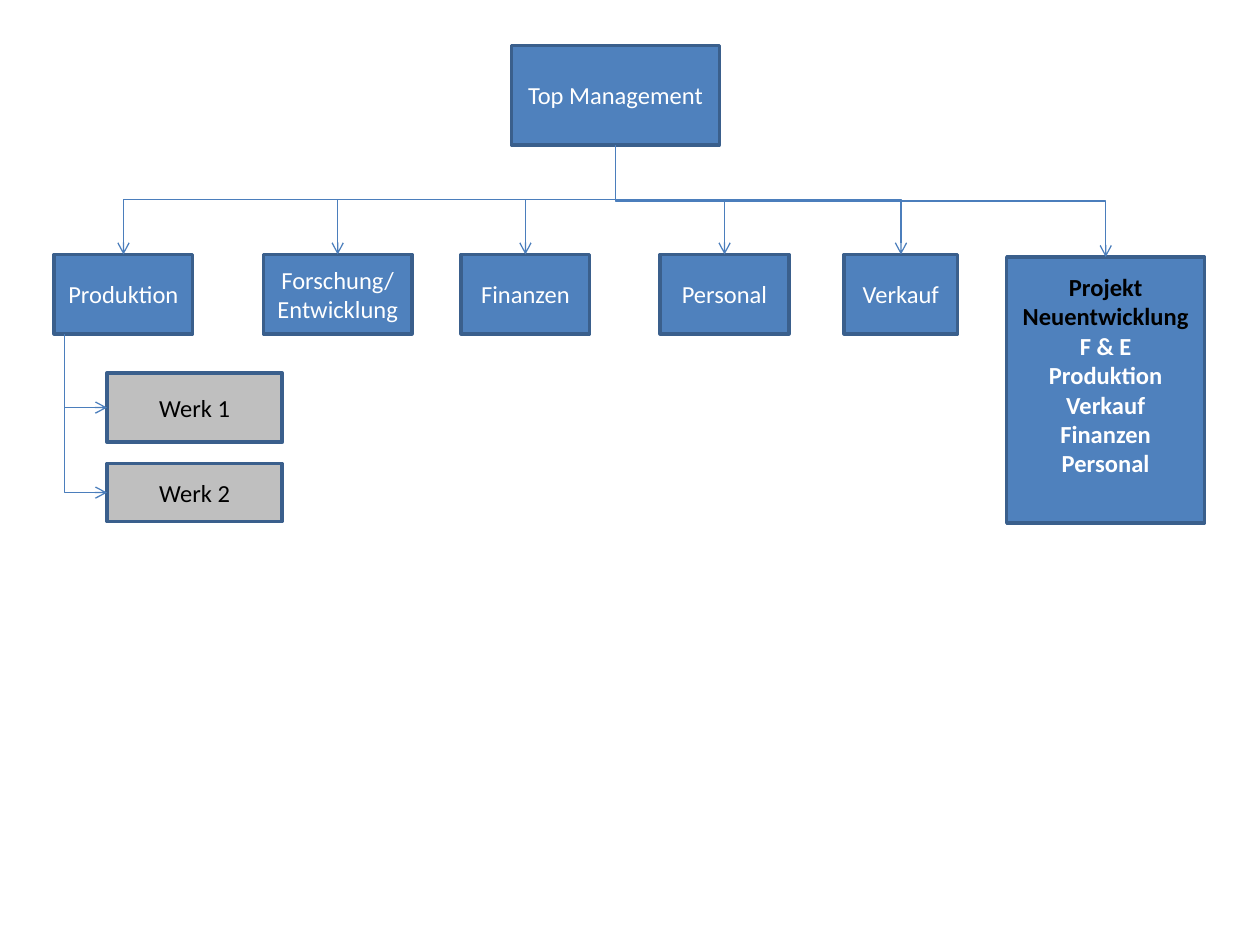
from lxml import etree
from pptx import Presentation
from pptx.dml.color import RGBColor
from pptx.enum.shapes import MSO_CONNECTOR, MSO_SHAPE
from pptx.enum.text import MSO_ANCHOR, PP_ALIGN
from pptx.oxml.ns import qn
from pptx.util import Inches, Pt

RECT, ELBOW = MSO_SHAPE.RECTANGLE, MSO_CONNECTOR.ELBOW
MIDDLE, CENTER = MSO_ANCHOR.MIDDLE, PP_ALIGN.CENTER
BLUE = RGBColor(0x4F, 0x81, 0xBD)
EDGE = RGBColor(0x3A, 0x5F, 0x8C)
WIRE = RGBColor(0x4B, 0x7E, 0xBC)
GREY = RGBColor(0xBF, 0xBF, 0xBF)
WHITE = RGBColor(0xFF, 0xFF, 0xFF)
BLACK = RGBColor(0, 0, 0)
FONT, SIZE = "Calibri", 14
LINE = 0.24  # height of one text line, inches

TOP = ("Top Management", (4.06, 0.36, 1.65, 0.79))
UNIT_Y, UNIT_H = 2.02, 0.63
# text, left, width
UNITS = [
    ("Produktion", 0.43, 1.1),
    ("Forschung/\nEntwicklung", 2.09, 1.18),
    ("Finanzen", 3.66, 1.02),
    ("Personal", 5.24, 1.02),
    ("Verkauf", 6.7, 0.9),
]
PLANT_X, PLANT_W, TRUNK_X = 0.85, 1.39, 0.51
# text, top, height
PLANTS = [("Werk 1", 2.96, 0.55), ("Werk 2", 3.68, 0.46)]
HEAD = "Projekt Neuentwicklung"
TEAM = ["F & E", "Produktion", "Verkauf Finanzen", "Personal"]
PROJ = (7.99, 2.04, 1.57, 2.11)


def add_box(slide, area, lines, fill=BLUE, bold=None):
    """Draw a framed box with one centred paragraph per (text, colour)."""
    box = slide.shapes.add_shape(RECT, *map(Inches, area))
    box.shadow.inherit = False
    box.fill.solid()
    box.fill.fore_color.rgb = fill
    box.line.color.rgb = EDGE
    box.line.width = Pt(2)
    frame = box.text_frame
    frame.word_wrap = True
    frame.vertical_anchor = MIDDLE
    for i, (text, color) in enumerate(lines):
        para = frame.add_paragraph() if i else frame.paragraphs[0]
        para.alignment = CENTER
        run = para.add_run()
        run.text = text
        font = run.font
        font.name, font.size, font.bold = FONT, Pt(SIZE), bold
        font.color.rgb = color
    return box


def add_wire(slide, start, end, kind="bentConnector3"):
    """Draw a bent arrow that leaves its start downwards."""
    (x1, y1), (x2, y2) = start, end
    wide, high = y2 - y1, abs(x2 - x1)  # size before the quarter turn
    left = (x1 + x2 - wide) / 2
    top = (y1 + y2 - high) / 2
    right = x2 > x1
    ends = (left + wide, left) if right else (left, left + wide)
    wire = slide.shapes.add_connector(
        ELBOW, Inches(ends[0]), Inches(top), Inches(ends[1]), Inches(top + high))
    wire.line.color.rgb = WIRE
    wire.line.width = Pt(0.75)
    props = wire._element.spPr
    props.find(qn("a:xfrm")).set("rot", str((270 if right else 90) * 60000))
    props.find(qn("a:prstGeom")).set("prst", kind)
    tail = etree.SubElement(props.find(qn("a:ln")), qn("a:tailEnd"))
    tail.set("type", "arrow")
    etree.SubElement(props, qn("a:effectLst"))


def main():
    """Build the organisation chart and save it."""
    deck = Presentation()
    deck.slide_width, deck.slide_height = Inches(10), Inches(7.5)
    slide = deck.slides.add_slide(deck.slide_layouts[6])

    name, area = TOP
    x, y, w, h = area
    add_box(slide, area, [(name, WHITE)])
    root = (x + w / 2, y + h)

    for text, x, w in UNITS:
        lines = [(part, WHITE) for part in text.split("\n")]
        add_box(slide, (x, UNIT_Y, w, UNIT_H), lines)
        add_wire(slide, root, (x + w / 2, UNIT_Y))

    for text, y, h in PLANTS:
        add_box(slide, (PLANT_X, y, PLANT_W, h), [(text, BLACK)], GREY)
        add_wire(slide, (TRUNK_X, UNIT_Y + UNIT_H), (PLANT_X, y + h / 2),
                 "bentConnector2")

    lines = [(HEAD, BLACK)] + [(text, WHITE) for text in TEAM]
    frame = add_box(slide, PROJ, lines, bold=True).text_frame
    frame.margin_left = frame.margin_right = Inches(0.11)
    frame.margin_bottom = Inches(0.05 + LINE)
    add_wire(slide, root, (PROJ[0] + PROJ[2] / 2, PROJ[1]))

    deck.save("out.pptx")


main()
